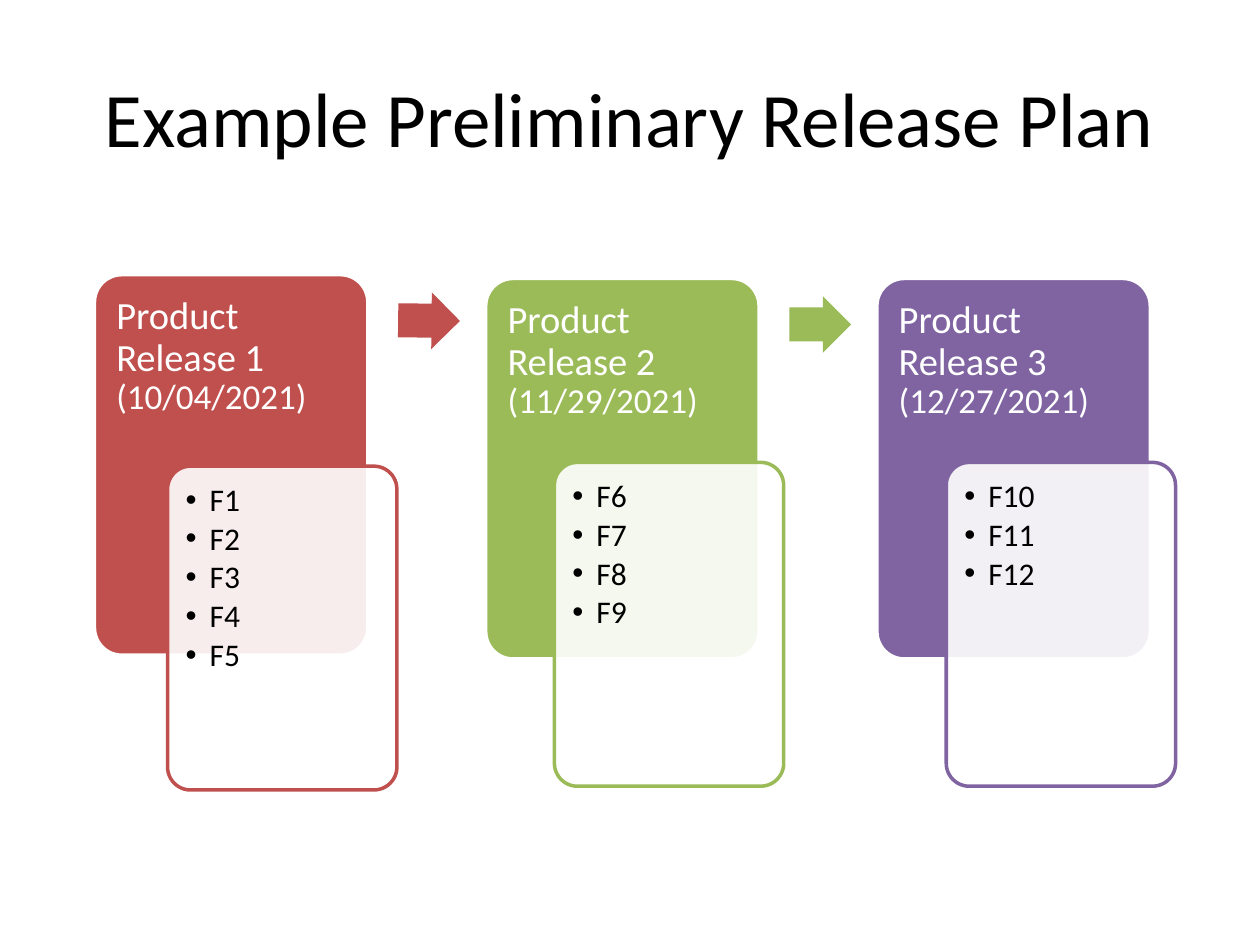
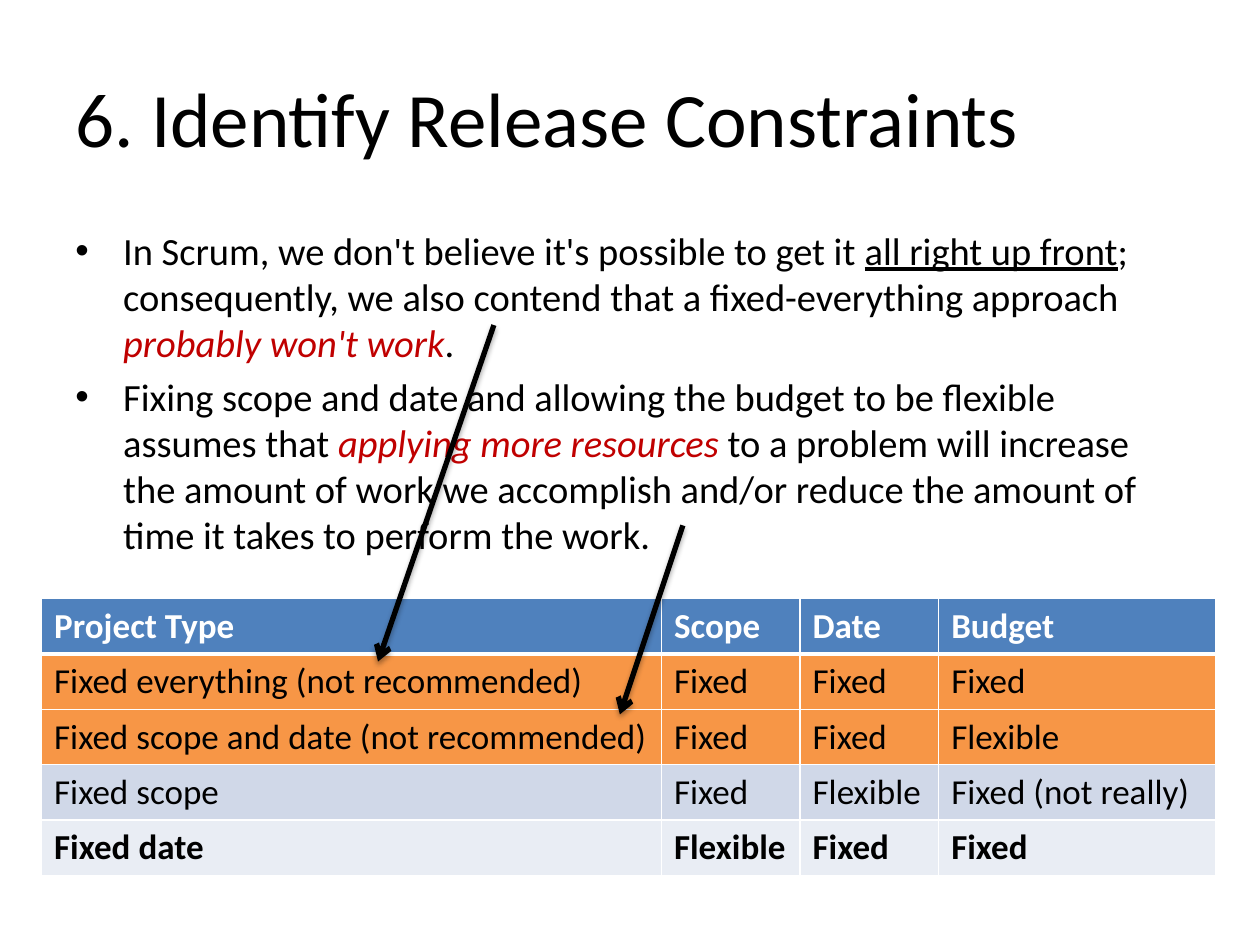
"""Build two slides on planning releases: a release flow and a table of constraints."""
from dataclasses import dataclass

from lxml.etree import SubElement
from pptx import Presentation
from pptx.dml.color import RGBColor
from pptx.enum.shapes import MSO_CONNECTOR, MSO_SHAPE
from pptx.enum.text import MSO_ANCHOR, PP_ALIGN
from pptx.oxml.ns import qn
from pptx.util import Inches, Pt


@dataclass(frozen=True)
class Theme:
    font: str = "Calibri"
    black: str = "000000"
    white: str = "FFFFFF"
    alert: str = "C00000"
    head: str = "4F81BD"
    warn: str = "F79646"
    band: str = "D0D8E8"
    pale: str = "E9EDF4"
    title: int = 44
    body: int = 22
    cell: int = 20
    date: int = 20
    item: int = 18


T = Theme()

PLAN = "Example Preliminary Release Plan"
CARDS = [
    {"name": "Product Release 1 ", "date": "(10/04/2021)", "color": "C0504D",
     "items": ["F1", "F2", "F3", "F4", "F5"], "top": 2.18, "list": (1.33, 3.7), "turn": 0.6},
    {"name": "Product Release 2 ", "date": "(11/29/2021)", "color": "9BBB59",
     "items": ["F6", "F7", "F8", "F9"], "top": 2.21, "list": (4.4, 3.67), "turn": 0},
    {"name": "Product Release 3 ", "date": "(12/27/2021)", "color": "8064A2",
     "items": ["F10", "F11", "F12"], "top": 2.21, "list": (7.51, 3.67), "turn": 0},
]

LIMITS = "6. Identify Release Constraints"
POINTS = [
    [("In Scrum, we don't believe it's possible to get it ", ""),
     ("all right up front", "line"),
     ("; consequently, we also contend that a fixed-everything approach ", ""),
     ("probably won't work", "alert"), (".", "")],
    [("Fixing scope and date and allowing the budget to be flexible assumes that ", ""),
     ("applying more resources", "alert"),
     (" to a problem will increase the amount of work we accomplish and/or reduce "
      "the amount of time it takes to perform the work.", "")],
]
WIDTHS = [4.92, 1.1, 1.1, 2.2]
ROWS = [
    (T.head, T.white, True, ["Project Type", "Scope", "Date", "Budget"]),
    (T.warn, T.black, False, ["Fixed everything (not recommended)", "Fixed", "Fixed", "Fixed"]),
    (T.warn, T.black, False, ["Fixed scope and date (not recommended)", "Fixed", "Fixed", "Flexible"]),
    (T.band, T.black, False, ["Fixed scope", "Fixed", "Flexible", "Fixed (not really)"]),
    (T.pale, T.black, True, ["Fixed date", "Flexible", "Fixed", "Fixed"]),
]
ARROWS = [((3.92, 2.58), (3, 5.25)), ((5.42, 4.17), (4.92, 5.67))]


def rgb(code):
    return RGBColor.from_string(code)


def style(part, size, color, bold=False):
    font = part.font
    font.name, font.size, font.bold = T.font, Pt(size), bold
    font.color.rgb = rgb(color)


def bullet(para, indent):
    props = para._p.get_or_add_pPr()
    props.set("marL", str(Inches(indent)))
    props.set("indent", str(-Inches(indent)))
    SubElement(props, qn("a:buFont"), typeface="Arial")
    SubElement(props, qn("a:buChar"), char="•")


def paras(frame, count):
    return [frame.paragraphs[0]] + [frame.add_paragraph() for _ in range(count - 1)]


def textbox(slide, left, top, width, height):
    frame = slide.shapes.add_textbox(*map(Inches, (left, top, width, height))).text_frame
    frame.word_wrap = True
    return frame


def heading(slide, text, align):
    frame = textbox(slide, 0.5, 0.3, 9, 1.25)
    frame.vertical_anchor = MSO_ANCHOR.MIDDLE
    para = frame.paragraphs[0]
    para.text, para.alignment = text, align
    style(para, T.title, T.black)


def block(slide, kind, box, fill, adjust, line=None):
    shape = slide.shapes.add_shape(kind, *map(Inches, box))
    shape.shadow.inherit = False
    for i, value in enumerate(adjust):
        shape.adjustments[i] = value
    shape.fill.solid()
    shape.fill.fore_color.rgb = rgb(fill)
    if line:
        shape.line.color.rgb = rgb(line)
        shape.line.width = Pt(2)
    else:
        shape.line.fill.background()
    return shape


def panel(slide, box, fill, line, inset):
    shape = block(slide, MSO_SHAPE.ROUNDED_RECTANGLE, box, fill, [0.1], line)
    frame = shape.text_frame
    frame.word_wrap, frame.vertical_anchor = True, MSO_ANCHOR.TOP
    frame.margin_left = frame.margin_right = frame.margin_top = Inches(inset)
    return shape


def release(slide, left, card, last):
    top, color = card["top"], card["color"]
    para = panel(slide, (left, top, 2.17, 3.02), color, T.white, 0.11).text_frame.paragraphs[0]
    para.alignment, para.line_spacing = PP_ALIGN.LEFT, 0.9
    for key, size in (("name", T.body), ("date", T.date)):
        run = para.add_run()
        run.text = card[key]
        style(run, size, T.white)

    sheet = panel(slide, (*card["list"], 1.82, 2.57), T.white, color, 0.09)
    tint = sheet.element.spPr.find(qn("a:solidFill")).find(qn("a:srgbClr"))
    SubElement(tint, qn("a:alpha"), val="90000")
    for para, item in zip(paras(sheet.text_frame, len(card["items"])), card["items"]):
        bullet(para, 0.19)
        para.text, para.alignment = item, PP_ALIGN.LEFT
        para.line_spacing, para.space_after = 0.9, Pt(2.7)
        style(para, T.item, T.black)

    if not last:
        box = (left + 2.41, top + 0.14, 0.49, 0.45)
        block(slide, MSO_SHAPE.RIGHT_ARROW, box, color, [0.6, 0.5]).rotation = card["turn"]


def points(slide):
    frame = textbox(slide, 0.5, 1.75, 9, 2.9)
    for i, (para, parts) in enumerate(zip(paras(frame, len(POINTS)), POINTS)):
        bullet(para, 0.38)
        if i:
            para.space_before = Pt(4.4)
        for text, mark in parts:
            run = para.add_run()
            run.text = text
            style(run, T.body, T.alert if mark == "alert" else T.black)
            if mark == "alert":
                run.font.italic = True
            elif mark == "line":
                run.font.underline = True


def border(cell, row):
    props = cell._tc.get_or_add_tcPr()
    for side in "LRTB":
        thick = (row, side) in ((0, "B"), (1, "T"))
        line = SubElement(props, qn(f"a:ln{side}"), w=str(Pt(3 if thick else 1)))
        SubElement(SubElement(line, qn("a:solidFill")), qn("a:srgbClr"), val=T.white)


def grid(slide):
    high = 0.44
    box = (0.33, 4.75, sum(WIDTHS), high * len(ROWS))
    table = slide.shapes.add_table(len(ROWS), len(WIDTHS), *map(Inches, box)).table
    for col, width in zip(table.columns, WIDTHS):
        col.width = Inches(width)
    for r, (fill, color, bold, texts) in enumerate(ROWS):
        table.rows[r].height = Inches(high)
        for c, text in enumerate(texts):
            cell = table.cell(r, c)
            border(cell, r)
            cell.fill.solid()
            cell.fill.fore_color.rgb = rgb(fill)
            cell.text = text
            style(cell.text_frame.paragraphs[0], T.cell, color, bold)


def arrow(slide, start, end):
    line = slide.shapes.add_connector(MSO_CONNECTOR.STRAIGHT, *map(Inches, start + end))
    line.line.color.rgb = rgb(T.black)
    line.line.width = Pt(3)
    SubElement(line.line._get_or_add_ln(), qn("a:tailEnd"), type="arrow")
    glow = SubElement(SubElement(line._element.spPr, qn("a:effectLst")), qn("a:outerShdw"),
                      blurRad=str(Pt(3.1)), dist=str(Pt(1.8)), dir="5400000", rotWithShape="0")
    SubElement(SubElement(glow, qn("a:srgbClr"), val=T.black), qn("a:alpha"), val="35000")


def main():
    deck = Presentation()
    deck.slide_width, deck.slide_height = Inches(10), Inches(7.5)
    blank = deck.slide_layouts[6]

    slide = deck.slides.add_slide(blank)
    heading(slide, PLAN, PP_ALIGN.CENTER)
    for i, card in enumerate(CARDS):
        release(slide, 0.75 + 3.105 * i, card, i == len(CARDS) - 1)

    slide = deck.slides.add_slide(blank)
    heading(slide, LIMITS, PP_ALIGN.LEFT)
    points(slide)
    grid(slide)
    for start, end in ARROWS:
        arrow(slide, start, end)

    deck.save("out.pptx")


if __name__ == "__main__":
    main()
